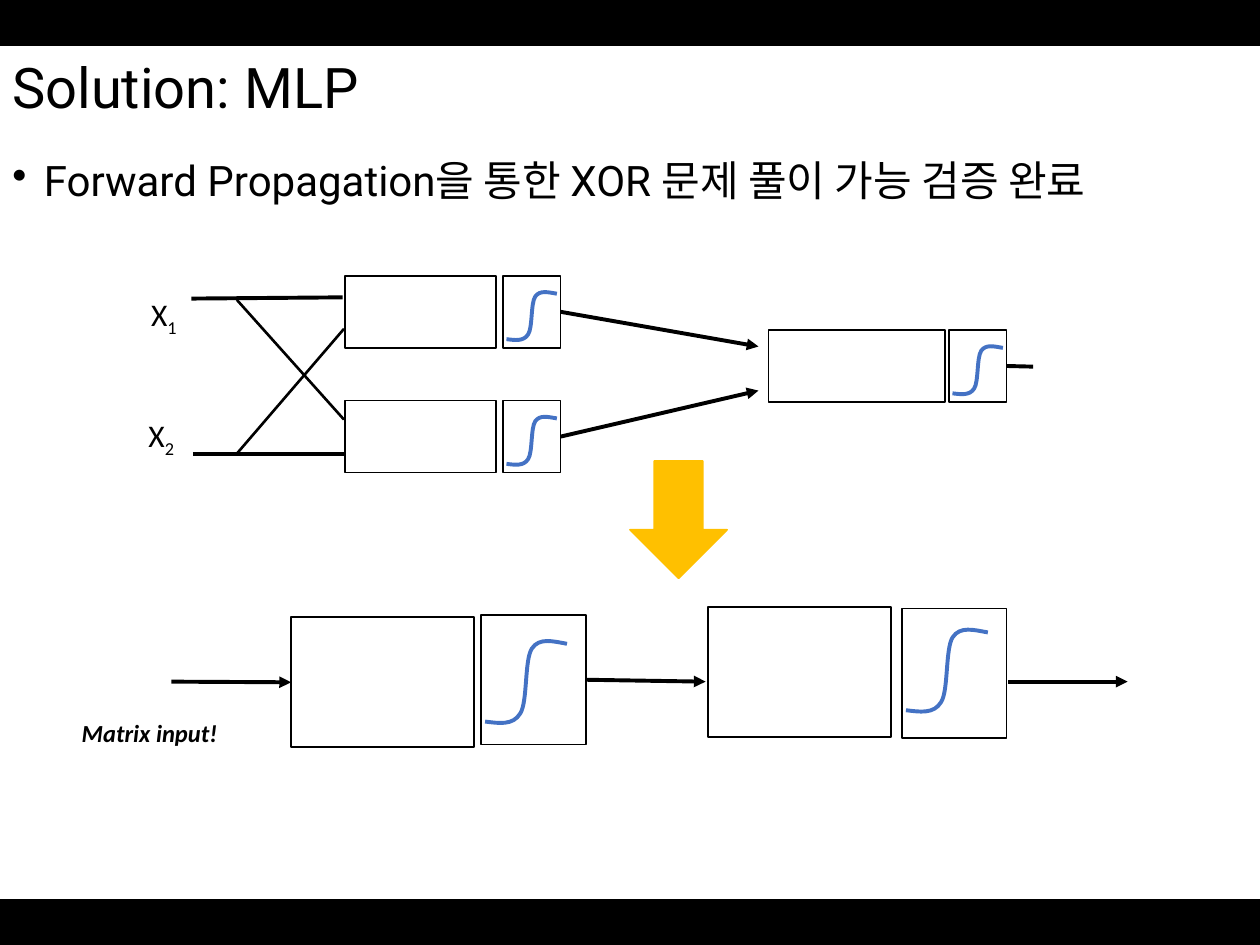
import pptx
import pptx.util
import pptx.dml.color
import pptx.enum.shapes
import pptx.enum.text
import pptx.oxml
import pptx.oxml.ns
from dataclasses import dataclass

Inches = pptx.util.Inches
Pt = pptx.util.Pt
SHAPE = pptx.enum.shapes.MSO_SHAPE
ANCHOR = pptx.enum.text.MSO_ANCHOR
qn = pptx.oxml.ns.qn
LEFT, RIGHT = 1, 3  # connection sites of a rectangle


@dataclass(frozen=True)
class Theme:
    ink: str = "000000"
    curve: str = "4472C4"
    arrow: str = "FFC000"
    heading_font: str = "Roboto"
    label_font: str = "Calibri"
    title: int = 32
    body: int = 24
    label: int = 18
    note: int = 14
    outline: float = 1
    cross: float = 1.5
    flow: float = 2.25


THEME = Theme()

# Sigmoid as a start and three cubic pieces, in fractions of its frame
SIGMOID = [(0, 0.98), (0.17, 1), (0.34, 1.03), (0.43, 0.88),
           (0.52, 0.74), (0.48, 0.23), (0.57, 0.09),
           (0.66, -0.05), (0.83, 0), (1, 0.03)]


def rgb(color):
    return pptx.dml.color.RGBColor.from_string(color)


def set_line(line, color, width):
    line.color.rgb = rgb(color)
    line.width = Pt(width)


def add_block(slide, x, y, w, h, fill=None, kind=SHAPE.RECTANGLE):
    block = slide.shapes.add_shape(kind, Inches(x), Inches(y), Inches(w), Inches(h))
    block.shadow.inherit = False
    if fill:
        block.fill.solid()
        block.fill.fore_color.rgb = rgb(fill)
    else:
        block.fill.background()
    set_line(block.line, fill or THEME.ink, THEME.outline)
    return block


def add_text(slide, x, y, w, h, text, font, wrap=True, anchor=ANCHOR.TOP,
             spacing=None, subscript=None, bullet=False):
    frame = slide.shapes.add_textbox(Inches(x), Inches(y), Inches(w), Inches(h)).text_frame
    frame.word_wrap = wrap
    frame.vertical_anchor = anchor
    paragraph = frame.paragraphs[0]
    if spacing:
        paragraph.line_spacing = spacing
    if bullet:
        properties = paragraph._p.get_or_add_pPr()
        properties.set("marL", str(Inches(0.25)))
        properties.set("indent", str(-Inches(0.25)))
        mark = pptx.oxml.parse_xml(
            f'<a:buChar {pptx.oxml.ns.nsdecls("a")} char="•"/>')
        properties.append(mark)
    for part in filter(None, (text, subscript)):
        run = paragraph.add_run()
        run.text = part
        for name, value in font.items():
            setattr(run.font, name, value)
        run.font.color.rgb = rgb(THEME.ink)
        if part is subscript:
            run.font._element.set("baseline", "-25000")


def add_flow(slide, start, end, width=THEME.flow, head=False, source=None, target=None):
    flow = slide.shapes.add_connector(
        pptx.enum.shapes.MSO_CONNECTOR.STRAIGHT, *map(Inches, start + end))
    set_line(flow.line, THEME.ink, width)
    if source is not None:
        flow.begin_connect(source, RIGHT)
    if target is not None:
        flow.end_connect(target, LEFT)
    if head:
        outline = flow.line._get_or_add_ln()
        outline.append(outline.makeelement(qn("a:tailEnd"), {"type": "triangle"}))
    properties = flow._element.spPr
    properties.append(properties.makeelement(qn("a:effectLst"), {}))


def add_sigmoid(slide, x, y, w, h):
    points = [(Inches(x + w * u), Inches(y + h * v)) for u, v in SIGMOID]
    builder = slide.shapes.build_freeform(*points[0])
    builder.add_line_segments(points[1:], close=False)
    curve = builder.convert_to_shape()
    curve.shadow.inherit = False
    curve.fill.background()
    set_line(curve.line, THEME.curve, THEME.flow)
    # Turn each three straight segments into one cubic curve
    segments = curve._element.findall(".//" + qn("a:lnTo"))
    outline = segments[0].getparent()
    for first in range(0, len(segments), 3):
        cubic = outline.makeelement(qn("a:cubicBezTo"), {})
        for segment in segments[first:first + 3]:
            cubic.append(segment[0])
            outline.remove(segment)
        outline.append(cubic)


def add_activation(slide, x, y, w, h, curve_offset, curve_size):
    box = add_block(slide, x, y, w, h)
    dx, dy = curve_offset
    add_sigmoid(slide, x + dx, y + dy, *curve_size)
    return box


def add_small_activation(slide, x, y):
    return add_activation(slide, x, y, 0.46, 0.57, (0.03, 0.13), (0.4, 0.38))


def add_large_activation(slide, x, y, curve_dy):
    return add_activation(slide, x, y, 0.83, 1.03, (0.03, curve_dy), (0.65, 0.65))


def add_header(slide):
    for y in (0, 7.14):
        add_block(slide, 0, y, 10, 0.36, THEME.ink)
    add_text(slide, 0, 0.4, 10, 0.64, "Solution: MLP",
             {"name": THEME.heading_font, "size": Pt(THEME.title)},
             anchor=ANCHOR.MIDDLE, spacing=0.9)
    add_text(slide, 0, 1.22, 10, 5.92, "Forward Propagation을 통한 XOR 문제 풀이 가능 검증 완료",
             {"name": THEME.heading_font, "size": Pt(THEME.body)},
             spacing=0.9, bullet=True)


def add_neuron_network(slide):
    label_font = {"name": THEME.label_font, "size": Pt(THEME.label)}
    for index, x, y in (("1", 1.1, 2.29), ("2", 1.08, 3.25)):
        add_text(slide, x, y, 0.42, 0.4, "X", label_font, wrap=False, subscript=index)

    # Inputs, straight and crossing
    add_flow(slide, (1.52, 2.37), (2.72, 2.36))
    add_flow(slide, (1.53, 3.6), (2.73, 3.6))
    add_flow(slide, (1.88, 3.6), (2.73, 2.61), THEME.cross)
    add_flow(slide, (2.73, 3.33), (1.88, 2.38), THEME.cross)

    # Hidden neurons
    for y, merge_y in ((2.19, 2.75), (3.18, 3.1)):
        add_block(slide, 2.74, y, 1.2, 0.57)
        activation = add_small_activation(slide, 3.99, y)
        add_flow(slide, (4.45, y + 0.28), (6.02, merge_y), head=True, source=activation)

    # Output neuron
    add_block(slide, 6.1, 2.62, 1.4, 0.57)
    output = add_small_activation(slide, 7.53, 2.62)
    add_flow(slide, (7.99, 2.91), (8.2, 2.91), source=output)


def add_matrix_network(slide):
    flow_y = 5.41
    hidden = add_block(slide, 2.31, 4.9, 1.45, 1.03)
    hidden_activation = add_large_activation(slide, 3.82, 4.88, 0.21)
    add_block(slide, 5.62, 4.82, 1.45, 1.03)
    add_large_activation(slide, 7.16, 4.83, 0.17)
    add_flow(slide, (1.36, flow_y), (2.31, flow_y), head=True, target=hidden)
    add_flow(slide, (4.66, flow_y), (5.6, flow_y), head=True, source=hidden_activation)
    add_flow(slide, (8, flow_y), (8.95, flow_y), head=True)
    add_text(slide, 0.55, 5.65, 1.29, 0.34, "Matrix input!",
             {"name": THEME.label_font, "size": Pt(THEME.note), "bold": True, "italic": True},
             wrap=False)


def main():
    deck = pptx.Presentation()
    deck.slide_width, deck.slide_height = Inches(10), Inches(7.5)
    slide = deck.slides.add_slide(deck.slide_layouts[6])
    add_header(slide)
    add_neuron_network(slide)
    add_matrix_network(slide)
    # Step from single neurons to matrices
    step = add_block(slide, 4.92, 3.74, 0.93, 0.77, THEME.arrow, SHAPE.RIGHT_ARROW)
    step.rotation = 90
    deck.save("out.pptx")


if __name__ == "__main__":
    main()
